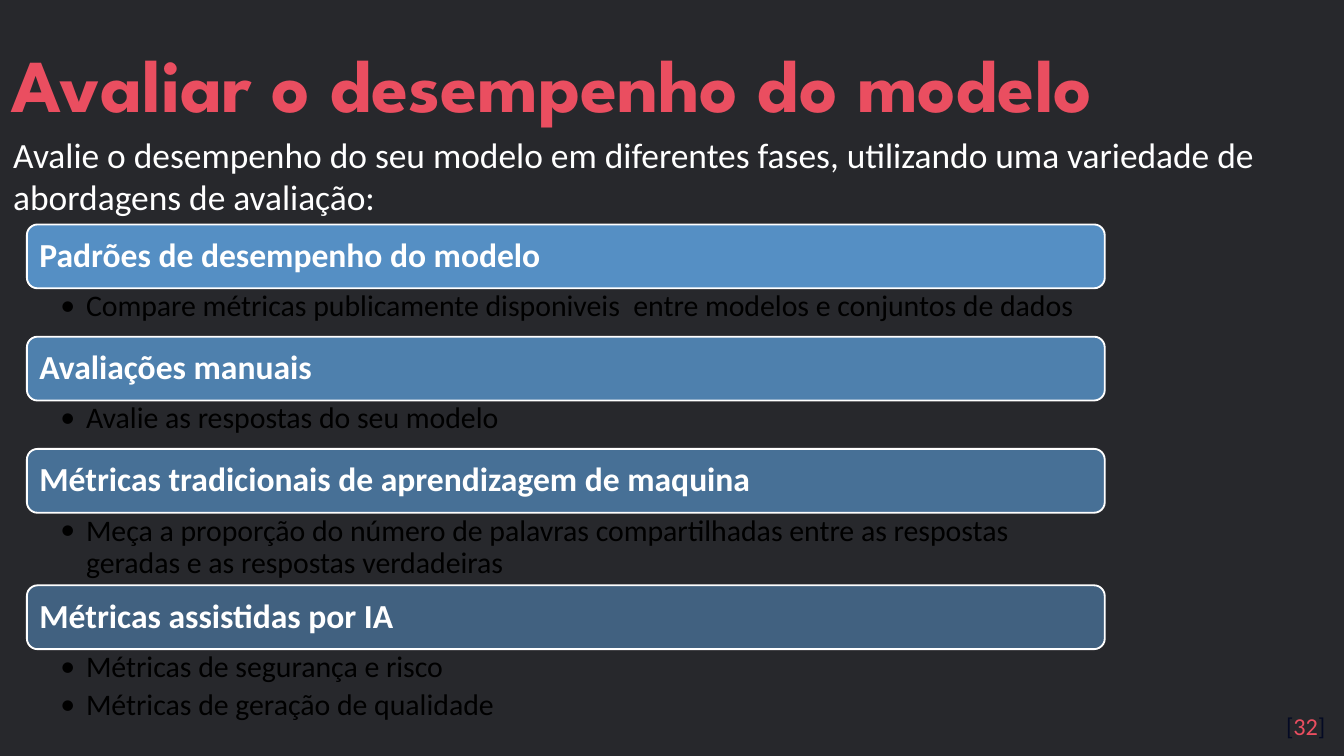
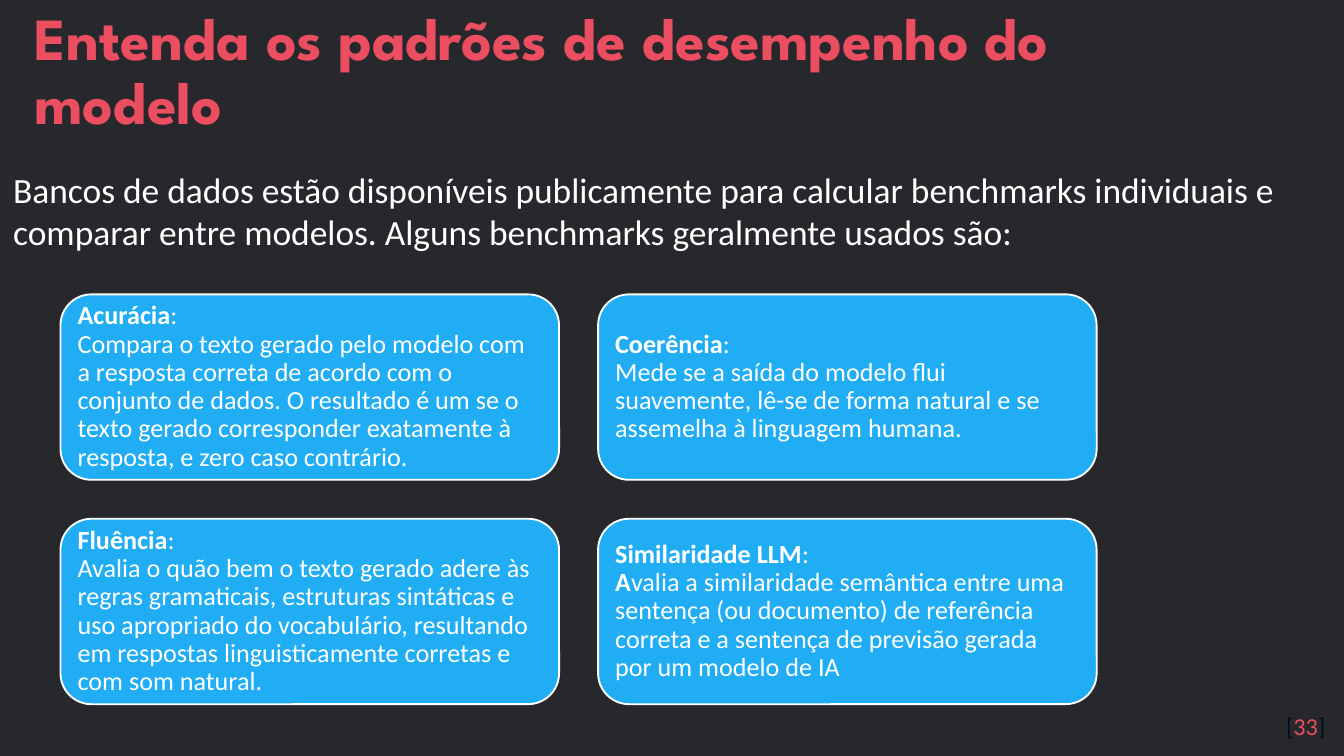
from lxml import etree
from pptx import Presentation
from pptx.dml.color import RGBColor
from pptx.enum.shapes import MSO_SHAPE
from pptx.enum.text import MSO_ANCHOR, PP_ALIGN
from pptx.oxml.ns import qn
from pptx.util import Inches, Pt

ROUNDED = MSO_SHAPE.ROUNDED_RECTANGLE
CARD = MSO_SHAPE.FLOWCHART_ALTERNATE_PROCESS
TOP, MIDDLE = MSO_ANCHOR.TOP, MSO_ANCHOR.MIDDLE
LEFT, RIGHT = PP_ALIGN.LEFT, PP_ALIGN.RIGHT

COLORS = {
    "background": "27282C",
    "title": "EA4E60",
    "text": "FFFFFF",
    "bracket": "040A24",
    "bar": "5B9BD5",
    "detail": "000000",
    "card": "21ADF3",
}
TITLE_FONT, BODY_FONT = "League Spartan", "Calibri"
LINE_SPACING = 0.9

APPROACHES = [
    ("Padrões de desempenho do modelo", 0.36,
     ["Compare métricas publicamente disponiveis  entre modelos e conjuntos de dados"]),
    ("Avaliações manuais", 0.36, ["Avalie as respostas do seu modelo"]),
    ("Métricas tradicionais de aprendizagem de maquina", 0.54,
     ["Meça a proporção do número de palavras compartilhadas entre as respostas "
      "geradas e as respostas verdadeiras"]),
    ("Métricas assistidas por IA", 0.59,
     ["Métricas de segurança e risco", "Métricas de geração de qualidade"]),
]

BENCHMARKS = [
    ("Acurácia", ": ", "",
     "Compara o texto gerado pelo modelo com a resposta correta de acordo com o "
     "conjunto de dados. O resultado é um se o texto gerado corresponder exatamente "
     "à resposta, e zero caso contrário."),
    ("Coerência", ":", "",
     "Mede se a saída do modelo flui suavemente, lê-se de forma natural e se "
     "assemelha à linguagem humana."),
    ("Fluência", ":", "",
     "Avalia o quão bem o texto gerado adere às regras gramaticais, estruturas "
     "sintáticas e uso apropriado do vocabulário, resultando em respostas "
     "linguisticamente corretas e com som natural."),
    ("Similaridade LLM", ":", "A",
     "valia a similaridade semântica entre uma sentença (ou documento) de referência "
     "correta e a sentença de previsão gerada por um modelo de IA"),
]


def rgb(name):
    """Return the named palette colour."""
    return RGBColor.from_string(COLORS[name])


def style_font(font, size, color="text", name=BODY_FONT, bold=False):
    """Set the typeface, size, colour and weight of a font."""
    font.name, font.size, font.bold = name, Pt(size), bold
    font.color.rgb = rgb(color)


def set_frame(frame, insets=(0.1, 0.05, 0.1, 0.05), anchor=TOP):
    """Wrap a text frame and set its insets and anchor."""
    frame.word_wrap = True
    frame.vertical_anchor = anchor
    (frame.margin_left, frame.margin_top,
     frame.margin_right, frame.margin_bottom) = map(Inches, insets)


def add_text_box(page, box, **frame_options):
    """Add a text box and return its text frame."""
    frame = page.shapes.add_textbox(*map(Inches, box)).text_frame
    set_frame(frame, **frame_options)
    return frame


def add_panel(page, kind, box, fill, inset):
    """Add a white-outlined shape with left-aligned text centred in height."""
    panel = page.shapes.add_shape(kind, *map(Inches, box))
    panel.shadow.inherit = False
    panel.fill.solid()
    panel.fill.fore_color.rgb = rgb(fill)
    panel.line.color.rgb = rgb("text")
    panel.line.width = Pt(1)
    set_frame(panel.text_frame, (inset,) * 4, MIDDLE)
    para = panel.text_frame.paragraphs[0]
    para.alignment, para.line_spacing = LEFT, LINE_SPACING
    return panel


def set_opacity(shape, percent):
    """Make the solid fill of a shape partly transparent."""
    color = shape.fill._xPr.find(qn("a:solidFill"))[0]
    etree.SubElement(color, qn("a:alpha")).set("val", str(round(percent * 1000)))


def set_bullet(para):
    """Give a paragraph a hanging round bullet."""
    props = para._p.get_or_add_pPr()
    props.set("marL", str(Inches(0.19)))
    props.set("indent", str(-Inches(0.19)))
    color = etree.SubElement(props, qn("a:buClr"))
    etree.SubElement(color, qn("a:srgbClr")).set("val", COLORS["detail"])
    etree.SubElement(props, qn("a:buFont")).set("typeface", BODY_FONT)
    etree.SubElement(props, qn("a:buChar")).set("char", "•")


def add_title(page, box, text, size):
    """Add the slide title."""
    para = add_text_box(page, box, anchor=MIDDLE).paragraphs[0]
    para.text, para.line_spacing = text, LINE_SPACING
    style_font(para.font, size, "title", TITLE_FONT, True)


def add_intro(page, box, text):
    """Add the introductory sentence below the title."""
    para = add_text_box(page, box).paragraphs[0]
    para.text = text
    style_font(para.font, 19)


def add_page_number(page, box, number):
    """Add the page number between dark brackets."""
    para = add_text_box(page, box, insets=(0.1,) * 4).paragraphs[0]
    para.alignment = RIGHT
    for text, color in (("[", "bracket"), (str(number), "title"), ("]", "bracket")):
        span = para.add_run()
        span.text = text
        style_font(span.font, 13, color)


def add_details(page, box, lines):
    """Add the bulleted lines below a bar."""
    frame = add_text_box(page, box, insets=(0.25, 0.02, 0.12, 0.02))
    for index, line in enumerate(lines):
        para = frame.add_paragraph() if index else frame.paragraphs[0]
        para.text, para.level = line, 1
        para.line_spacing, para.space_after = LINE_SPACING, Pt(3.2)
        set_bullet(para)
        style_font(para.font, 16, "detail")


def add_approaches(page, box):
    """Stack fading heading bars, each followed by its details, to fill the box."""
    left, top, width, height = box
    details_height = sum(detail_height for _, detail_height, _ in APPROACHES)
    bar_height = (height - details_height) / len(APPROACHES)
    fade = 40 / (len(APPROACHES) - 1)
    for index, (heading, detail_height, lines) in enumerate(APPROACHES):
        bar = add_panel(page, ROUNDED, (left, top, width, bar_height), "bar", 0.07)
        set_opacity(bar, 90 - index * fade)
        para = bar.text_frame.paragraphs[0]
        para.text = heading
        style_font(para.font, 18, bold=True)
        add_details(page, (left, top + bar_height, width, detail_height), lines)
        top += bar_height + detail_height


def add_spans(para, spans):
    """Append the non-empty card spans, each bold or regular."""
    for text, bold in spans:
        if text:
            span = para.add_run()
            span.text = text
            style_font(span.font, 14, bold=bold)


def add_benchmarks(page, box):
    """Lay out the benchmark cards in two columns with equal gaps."""
    left, top, width, height = box
    gap = 0.29
    card_width, card_height = (width - gap) / 2, (height - gap) / 2
    for index, (name, colon, initial, text) in enumerate(BENCHMARKS):
        row, column = divmod(index, 2)
        place = (left + column * (card_width + gap), top + row * (card_height + gap),
                 card_width, card_height)
        card = add_panel(page, CARD, place, "card", 0.06)
        para = card.text_frame.paragraphs[0]
        add_spans(para, [(name, True), (colon, False)])
        para.add_line_break()
        add_spans(para, [(initial, True), (text, False)])


def add_page(deck, number):
    """Add a dark page with its number."""
    page = deck.slides.add_slide(deck.slide_layouts[6])
    page.background.fill.solid()
    page.background.fill.fore_color.rgb = rgb("background")
    add_page_number(page, (9.3, 5.19, 0.66, 0.43), number)
    return page


def build_evaluation_page(deck):
    """Build the page on evaluating model performance."""
    page = add_page(deck, 32)
    add_title(page, (-0.01, 0, 9.85, 1.31), "Avaliar o desempenho do modelo", 40)
    add_intro(page, (0, 0.94, 9.48, 0.74),
              "Avalie o desempenho do seu modelo em diferentes fases, utilizando uma "
              "variedade de abordagens de avaliação:")
    add_approaches(page, (0.2, 1.67, 8.02, 3.75))


def build_benchmark_page(deck):
    """Build the page on performance benchmarks."""
    page = add_page(deck, 33)
    add_title(page, (0.16, -0.11, 9.13, 1.31),
              "Entenda os padrões de desempenho do modelo", 32)
    add_intro(page, (0, 1.2, 9.8, 0.74),
              "Bancos de dados estão disponíveis publicamente para calcular benchmarks "
              "individuais e comparar entre modelos. Alguns benchmarks geralmente "
              "usados são:")
    add_benchmarks(page, (0.45, 2.19, 7.71, 3.05))


def main():
    """Build and save the deck at a 16:9 size."""
    deck = Presentation()
    deck.slide_width = Inches(10)
    deck.slide_height = deck.slide_width * 9 // 16
    build_evaluation_page(deck)
    build_benchmark_page(deck)
    deck.save("out.pptx")


if __name__ == "__main__":
    main()
